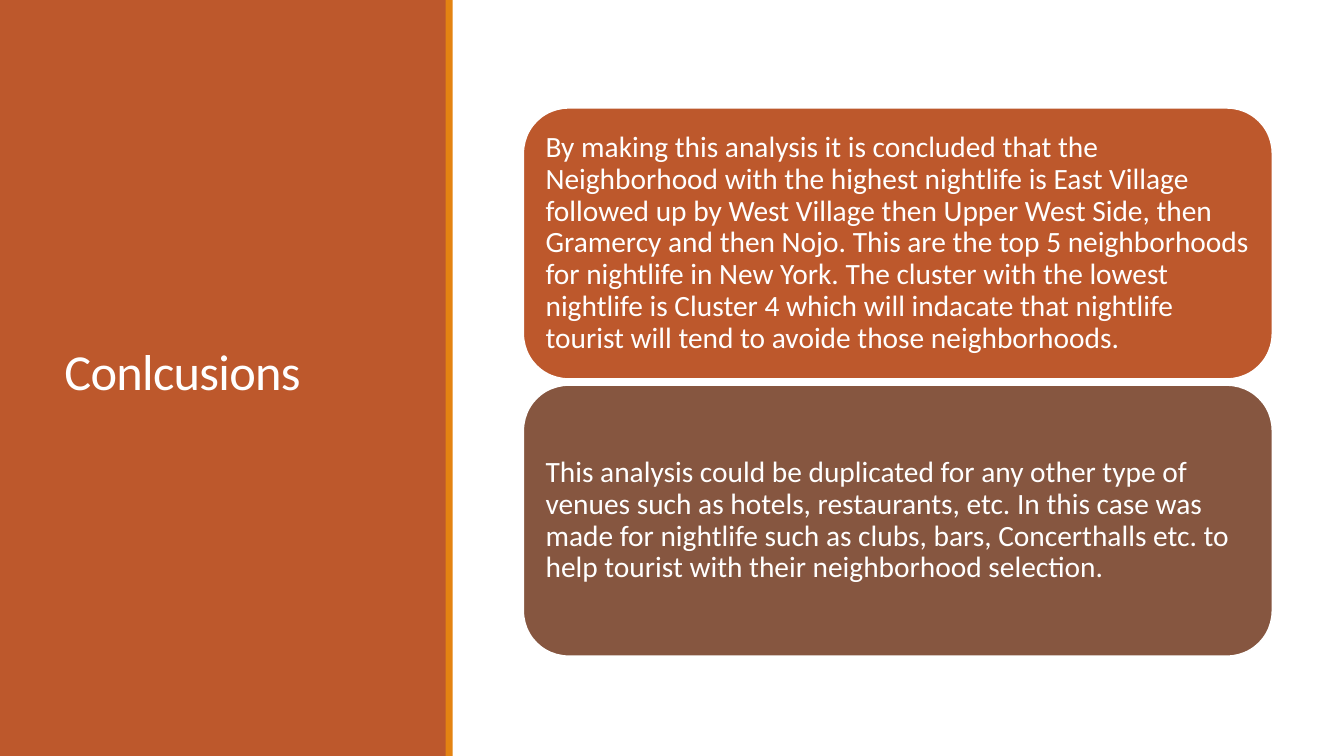
"""Builds the conclusions slide: a coloured title panel beside two text cards."""
from dataclasses import dataclass

from pptx import Presentation
from pptx import util as u
from pptx.dml.color import RGBColor
from pptx.enum import shapes, text


@dataclass(frozen=True)
class Theme:
    """Colours, font and type sizes."""
    rust: str = "BD582C"
    amber: str = "E48312"
    brown: str = "865640"
    white: str = "FFFFFF"
    font: str = "Calibri"
    head: int = 36
    body: int = 21


class Deck:
    """Holds the style and the current slide."""

    def __init__(self, theme):
        """Opens a blank widescreen slide."""
        self.theme = theme
        self.prs = Presentation()
        self.prs.slide_width = u.Inches(13.33)
        self.prs.slide_height = u.Inches(7.5)
        self.slide = self.prs.slides.add_slide(self.prs.slide_layouts[6])

    def shape(self, kind, box, fill):
        """Adds a filled shape without outline or shadow."""
        item = self.slide.shapes.add_shape(kind, *map(u.Inches, box))
        item.shadow.inherit = False
        item.fill.solid()
        item.fill.fore_color.rgb = RGBColor.from_string(fill)
        item.line.fill.background()
        return item

    def band(self, box, fill):
        """Adds a plain rectangle."""
        return self.shape(shapes.MSO_SHAPE.RECTANGLE, box, fill)

    def label(self, item, words, size, lead):
        """Sets left-aligned, vertically centred white text."""
        frame = item.text_frame
        frame.word_wrap = True
        frame.vertical_anchor = text.MSO_ANCHOR.MIDDLE
        frame.text = words
        para = frame.paragraphs[0]
        para.alignment = text.PP_ALIGN.LEFT
        para.line_spacing = lead
        run = para.runs[0]
        run.font.name = self.theme.font
        run.font.size = u.Pt(size)
        run.font.color.rgb = RGBColor.from_string(self.theme.white)
        return run

    def title(self, box, words):
        """Adds the slightly tightened title."""
        item = self.slide.shapes.add_textbox(*map(u.Inches, box))
        run = self.label(item, words, self.theme.head, 0.85)
        run._r.get_or_add_rPr().set("spc", "-50")

    def card(self, box, fill, words):
        """Adds a rounded card with its text."""
        item = self.shape(shapes.MSO_SHAPE.ROUNDED_RECTANGLE, box, fill)
        item.line.color.rgb = RGBColor.from_string(self.theme.white)
        item.line.width = u.Pt(1.25)
        frame = item.text_frame
        frame.margin_left = frame.margin_right = u.Inches(0.09)
        frame.margin_top = frame.margin_bottom = u.Inches(0.09)
        self.label(item, words, self.theme.body, 0.9)


def main():
    """Draws the slide and saves it."""
    theme = Theme()
    deck = Deck(theme)
    deck.band((0, 0, 4.43, 7.5), theme.rust)
    deck.title((0.54, 0.57, 3.37, 6.31), "Conlcusions")
    deck.band((4.42, 0, 0.07, 7.5), theme.amber)

    cards = [
        (theme.rust,
         "By making this analysis it is concluded that the Neighborhood with "
         "the highest nightlife is East Village followed up by West Village "
         "then Upper West Side, then Gramercy and then Nojo. This are the top "
         "5 neighborhoods for nightlife in New York. The cluster with the "
         "lowest nightlife is Cluster 4 which will indacate that nightlife "
         "tourist will tend to avoide those neighborhoods."),
        (theme.brown,
         "This analysis could be duplicated for any other type of venues such "
         "as hotels, restaurants, etc. In this case was made for nightlife "
         "such as clubs, bars, Concerthalls etc. to help tourist with their "
         "neighborhood selection."),
    ]
    high, gap = 2.69, 0.06
    for row, (fill, words) in enumerate(cards):
        deck.card((5.19, 1.07 + row * (high + gap), 7.43, high), fill, words)

    deck.prs.save("out.pptx")


if __name__ == "__main__":
    main()
